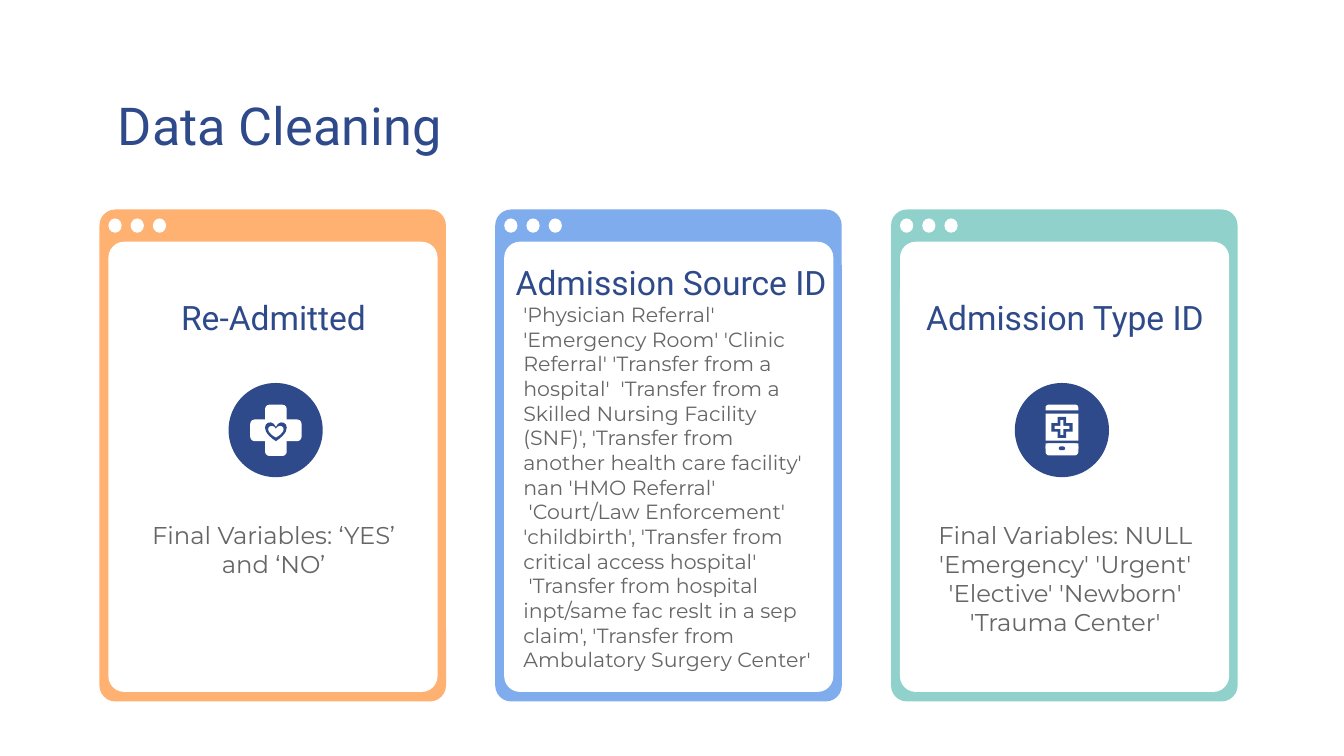
from pptx import Presentation
from pptx.dml.color import RGBColor
from pptx.enum.shapes import MSO_SHAPE as Preset
from pptx.enum.text import MSO_ANCHOR as Anchor, PP_ALIGN as Align
from pptx.util import Cm, Pt

COLORS = {
    "navy": "2F4A8A", "gray": "666666", "white": "FFFFFF",
    "orange": "FFB172", "blue": "7EACEC", "teal": "90D1CB",
}

presentation = Presentation()
presentation.slide_width = Cm(25.4)
presentation.slide_height = Cm(14.29)
slide = presentation.slides.add_slide(presentation.slide_layouts[6])


def add_shape(preset, left, top, width, height, color, adjustment=None):
    shape = slide.shapes.add_shape(preset, Cm(left), Cm(top), Cm(width), Cm(height))
    shape.shadow.inherit = False
    shape.fill.solid()
    shape.fill.fore_color.rgb = RGBColor.from_string(COLORS[color])
    shape.line.fill.background()
    if adjustment is not None:
        shape.adjustments[0] = adjustment
    return shape


def add_text(left, top, width, height, lines, font, size, color, align=Align.LEFT):
    frame = slide.shapes.add_textbox(Cm(left), Cm(top), Cm(width), Cm(height)).text_frame
    frame.word_wrap = True
    frame.vertical_anchor = Anchor.TOP
    frame.margin_left = frame.margin_right = Cm(0.25)
    frame.margin_top = frame.margin_bottom = Cm(0.25)
    for index, line in enumerate(lines):
        paragraph = frame.add_paragraph() if index else frame.paragraphs[0]
        paragraph.alignment = align
        run = paragraph.add_run()
        run.text = line
        run.font.name = font
        run.font.size = Pt(size)
        run.font.color.rgb = RGBColor.from_string(COLORS[color])


# Slide title
add_text(1.98, 1.52, 21.44, 1.3, ["Data Cleaning"], "Roboto", 28, "navy")

# Window cards: frame, page and three dots
CARD_TOP = 3.96
card_lefts = [1.88 + 7.48 * column for column in range(3)]
for left, color in zip(card_lefts, ("orange", "blue", "teal")):
    add_shape(Preset.ROUNDED_RECTANGLE, left, CARD_TOP, 6.55, 9.3, color, 0.046)
    add_shape(Preset.ROUNDED_RECTANGLE, left + 0.17, CARD_TOP + 0.61, 6.22, 8.51, "white", 0.048)
    for dot in range(3):
        add_shape(Preset.OVAL, left + 0.17 + 0.42 * dot, CARD_TOP + 0.17, 0.25, 0.27, "white")

# Outer cards: heading and centred summary
outer_cards = [
    (card_lefts[0], "Re-Admitted", "Final Variables: ‘YES’ and ‘NO’"),
    (card_lefts[2], "Admission Type ID",
     "Final Variables: NULL 'Emergency' 'Urgent' 'Elective' 'Newborn' 'Trauma Center'"),
]
for left, heading, summary in outer_cards:
    add_text(left + 0.28, 5.36, 6.02, 1.3, [heading], "Roboto", 18, "navy", Align.CENTER)
    add_text(left + 0.28, 9.58, 6.02, 2.13, [summary], "Montserrat", 13, "gray", Align.CENTER)

# Middle card: heading and list of sources
add_text(card_lefts[1], 4.7, 6.65, 1.3, ["Admission Source ID"], "Roboto", 18, "navy", Align.CENTER)
sources = [
    "'Physician Referral' 'Emergency Room' 'Clinic Referral' 'Transfer from a hospital'  "
    "'Transfer from a Skilled Nursing Facility (SNF)', 'Transfer from another health care "
    "facility' nan 'HMO Referral'",
    " 'Court/Law Enforcement' 'childbirth', 'Transfer from critical access hospital'",
    " 'Transfer from hospital inpt/same fac reslt in a sep claim', 'Transfer from "
    "Ambulatory Surgery Center'",
]
add_text(card_lefts[1] + 0.28, 5.46, 6.02, 5.33, sources, "Montserrat", 11, "gray")

# Round icons: parts are placed relative to the disc
ICON_TOP = 7.24
medical_cross = [
    (Preset.ROUNDED_RECTANGLE, 0.41, 0.69, 0.97, 0.41, "white", 0.2),
    (Preset.ROUNDED_RECTANGLE, 0.69, 0.41, 0.41, 0.97, "white", 0.2),
    (Preset.HEART, 0.69, 0.74, 0.41, 0.36, "navy", None),
    (Preset.HEART, 0.75, 0.81, 0.29, 0.22, "white", None),
]
phone = [
    (Preset.ROUND_2_SAME_RECTANGLE, 0.58, 0.41, 0.62, 0.11, "white", 0.5),
    (Preset.RECTANGLE, 0.58, 0.58, 0.62, 0.51, "white", None),
    (Preset.CROSS, 0.69, 0.64, 0.4, 0.4, "navy", 0.3),
    (Preset.CROSS, 0.75, 0.7, 0.28, 0.28, "white", 0.4),
    (Preset.ROUNDED_RECTANGLE, 0.58, 1.14, 0.62, 0.23, "white", 0.3),
    (Preset.RECTANGLE, 0.58, 1.14, 0.62, 0.1, "white", None),
    (Preset.ROUNDED_RECTANGLE, 0.83, 1.2, 0.12, 0.07, "navy", 0.5),
]
for icon_left, parts in ((4.32, medical_cross), (19.18, phone)):
    add_shape(Preset.OVAL, icon_left, ICON_TOP, 1.78, 1.78, "navy")
    for preset, left, top, width, height, color, adjustment in parts:
        add_shape(preset, icon_left + left, ICON_TOP + top, width, height, color, adjustment)

presentation.save("out.pptx")
